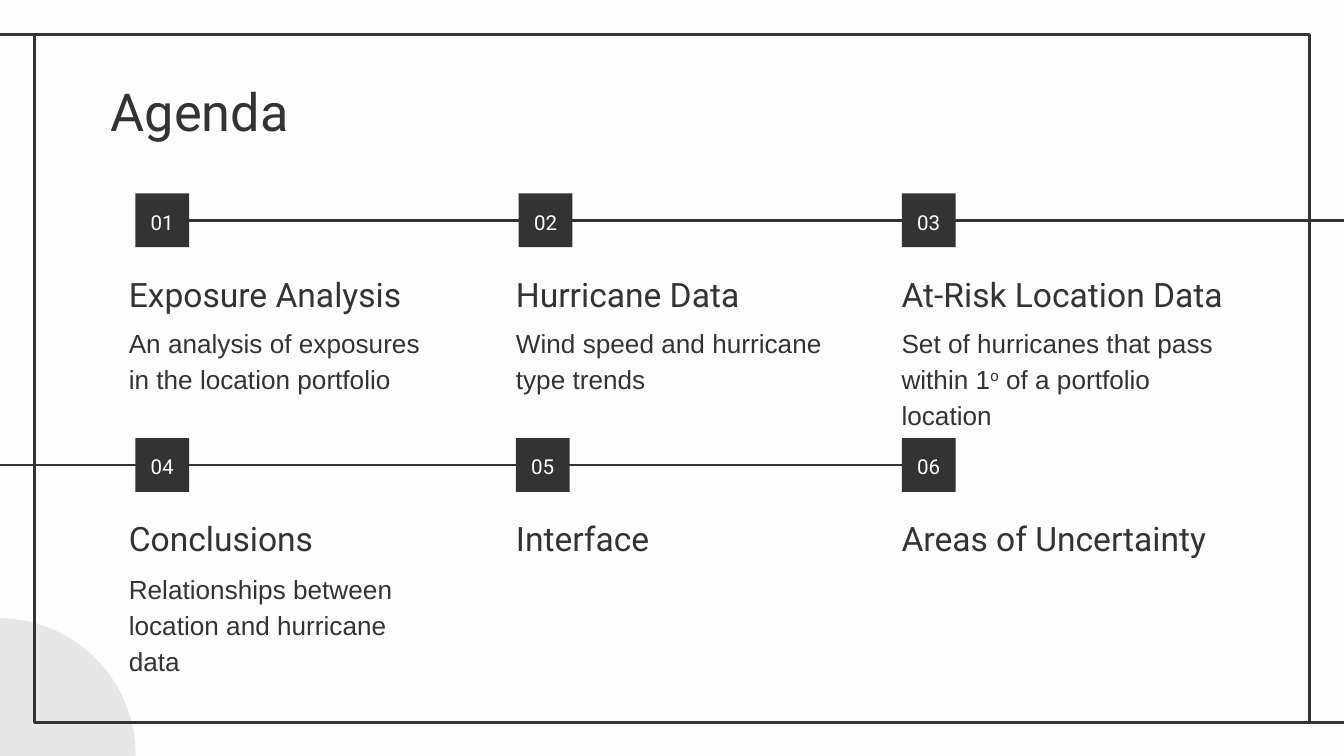
from dataclasses import dataclass

from lxml.etree import SubElement
from pptx import Presentation
from pptx.dml.color import RGBColor
from pptx.enum.shapes import MSO_CONNECTOR, MSO_SHAPE
from pptx.enum.text import MSO_ANCHOR, PP_ALIGN
from pptx.oxml.ns import qn
from pptx.util import Pt


@dataclass(frozen=True)
class Theme:
    ink: RGBColor = RGBColor(0x33, 0x33, 0x33)
    paper: RGBColor = RGBColor(0xFD, 0xFD, 0xFD)
    shade: RGBColor = RGBColor(0xE8, 0xE7, 0xE7)
    main: str = "Roboto"
    plain: str = "Arial"
    title: int = 28
    head: int = 18
    body: int = 14
    badge: int = 11
    rule: float = 1.5


THEME = Theme()
WIDE, HIGH = 720, 405
BADGE = 28.8
FRAME = (18.3, 18.3, 683.3, 368.6)

# Left edge, heading widths by row, body width
COLS = [
    (61.9, (181.4, 181.4), 181.4),
    (269.3, (181.4, 181.4), 181.4),
    (475.9, (211, 193.7), 189.4),
]
# Tops of badge, heading and body
ROWS = [(103.7, 145.4, 165.6), (234.7, 275.8, 297.4)]

# Badge left, heading, body runs; "^" marks a raised run
AGENDA = [
    [
        (72.5, "Exposure Analysis", ["An analysis of exposures in the location portfolio"]),
        (277.9, "Hurricane Data", ["Wind speed and hurricane type trends"]),
        (483.2, "At-Risk Location Data",
         ["Set of hurricanes that pass within 1", "^o", " of a portfolio location"]),
    ],
    [
        (72.5, "Conclusions", ["Relationships between location and hurricane data"]),
        (276.4, "Interface", []),
        (483.2, "Areas of Uncertainty", []),
    ],
]


def put(item, values):
    """Set each attribute named in values."""
    for name, value in values.items():
        setattr(item, name, value)


def pts(*sizes):
    return [Pt(size) for size in sizes]


def write(shape, runs, size, font, color, align=PP_ALIGN.LEFT,
          anchor=MSO_ANCHOR.TOP, space=1.15):
    frame = shape.text_frame
    put(frame, {"word_wrap": True, "vertical_anchor": anchor})
    put(frame, {f"margin_{side}": Pt(7.2)
                for side in ("left", "top", "right", "bottom")})
    para = frame.paragraphs[0]
    put(para, {"alignment": align, "line_spacing": space})
    for text in runs:
        run = para.add_run()
        run.text = text.lstrip("^")
        put(run.font, {"size": Pt(size), "name": font})
        run.font.color.rgb = color
        if text.startswith("^"):
            run.font._element.set("baseline", "30000")


def add_form(slide, kind, box, fill=None, line=None):
    form = slide.shapes.add_shape(kind, *pts(*box))
    form.shadow.inherit = False
    if fill is None:
        form.fill.background()
    else:
        form.fill.solid()
        form.fill.fore_color.rgb = fill
    if line is None:
        form.line.fill.background()
    else:
        form.line.color.rgb = line
        form.line.width = Pt(THEME.rule)
    return form


def add_rule(slide, start, end, y):
    rule = slide.shapes.add_connector(MSO_CONNECTOR.STRAIGHT, *pts(start, y, end, y))
    rule.line.color.rgb = THEME.ink
    rule.line.width = Pt(THEME.rule)
    SubElement(rule._element.spPr, qn("a:effectLst"))


def add_text(slide, box, runs, size, font, anchor=MSO_ANCHOR.TOP):
    text = slide.shapes.add_textbox(*pts(*box))
    write(text, runs, size, font, THEME.ink, anchor=anchor)


def add_badge(slide, left, top, label):
    badge = add_form(slide, MSO_SHAPE.RECTANGLE, (left, top, BADGE, BADGE), THEME.ink)
    write(badge, [label], THEME.badge, THEME.main, THEME.paper,
          PP_ALIGN.CENTER, MSO_ANCHOR.MIDDLE)


def add_decor(slide):
    left, top, wide, high = FRAME
    add_form(slide, MSO_SHAPE.OVAL, (-74.2, 331.2, 146.9, 146.9), THEME.shade)
    add_form(slide, MSO_SHAPE.RECTANGLE, FRAME, line=THEME.ink)
    add_rule(slide, 0, left, top)
    add_rule(slide, left + wide, WIDE, top + high)


def add_title(slide, text):
    title = slide.shapes.title
    put(title, dict(zip(("left", "top", "width", "height"),
                        pts(52.2, 35, 607, 45.4))))
    write(title, [text], THEME.title, THEME.main, THEME.ink, space=1)


def add_agenda(slide):
    for row, (tops, items) in enumerate(zip(ROWS, AGENDA)):
        for col, (spot, head, body) in enumerate(items):
            left, wides, span = COLS[col]
            add_badge(slide, spot, tops[0], f"{row * len(COLS) + col + 1:02}")
            add_text(slide, (left, tops[1], wides[row], 30.2), [head],
                     THEME.head, THEME.main, MSO_ANCHOR.BOTTOM)
            if body:
                add_text(slide, (left, tops[2], span, 64), body,
                         THEME.body, THEME.plain)


def main():
    deck = Presentation()
    put(deck, {"slide_width": Pt(WIDE), "slide_height": Pt(HIGH)})
    slide = deck.slides.add_slide(deck.slide_layouts.get_by_name("Title Only"))
    slide.background.fill.solid()
    slide.background.fill.fore_color.rgb = THEME.paper
    add_decor(slide)
    first, last = (tops[0] + BADGE / 2 for tops in ROWS)
    add_rule(slide, AGENDA[0][0][0] + BADGE, WIDE, first)
    add_rule(slide, 0, AGENDA[1][-1][0], last)
    add_title(slide, "Agenda")
    add_agenda(slide)
    deck.save("out.pptx")


if __name__ == "__main__":
    main()
